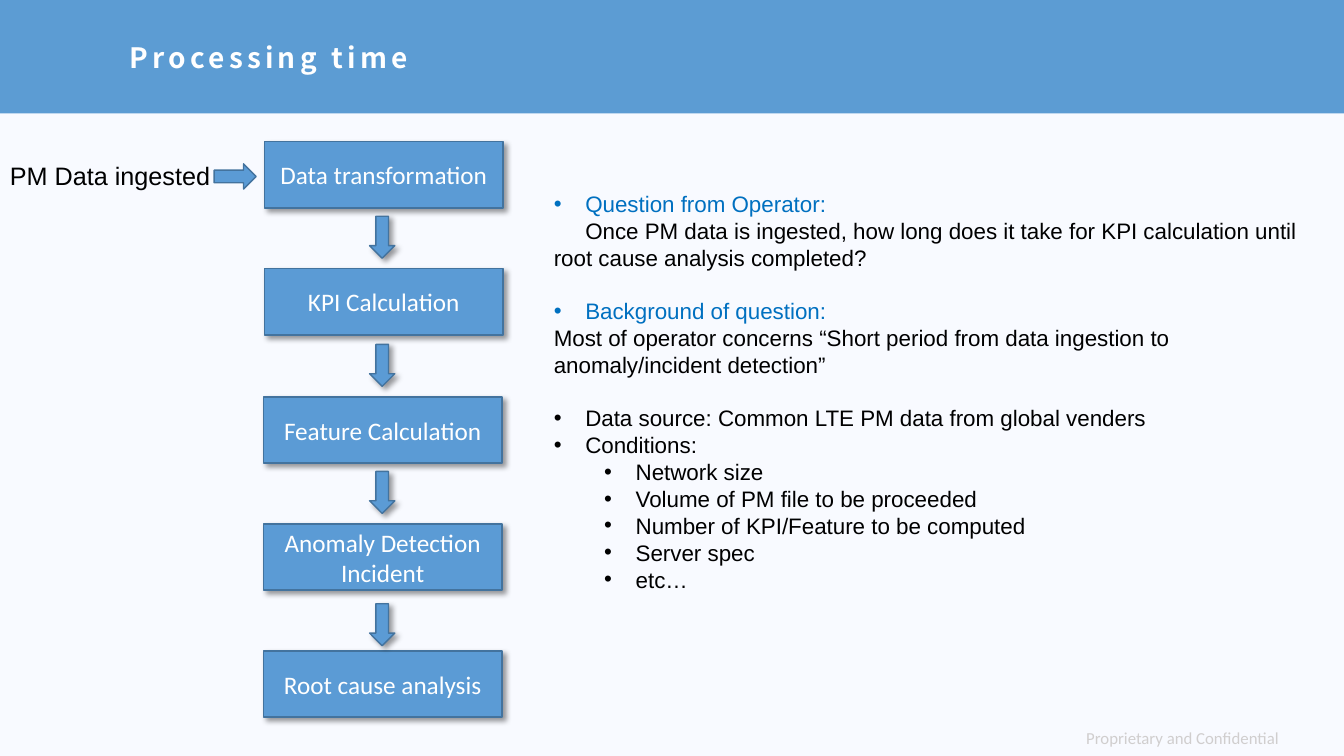
from dataclasses import dataclass

import pptx
import pptx.dml.color
import pptx.enum.shapes
import pptx.enum.text
import pptx.oxml.ns
import pptx.presentation
import pptx.shapes.autoshape
import pptx.slide
import pptx.text.text
import pptx.util
from lxml import etree

EMU_PER_PX = 9525
SHAPE = pptx.enum.shapes.MSO_SHAPE
ALIGN = pptx.enum.text.PP_ALIGN
ANCHOR = pptx.enum.text.MSO_ANCHOR
AUTO_SIZE = pptx.enum.text.MSO_AUTO_SIZE

BACKGROUND = "F8FAFF"
BANNER = "5C9CD3"
BLUE = "5B9BD5"
OUTLINE = "43739E"
HEADING = "0070C0"
WHITE = "FFFFFF"
BLACK = "000000"
FOOTER = "D0CECE"


@dataclass
class Step:
    text: str
    left: int
    top: int


@dataclass
class Arrow:
    left: int
    top: int
    rotation: int = 0
    shadow: bool = True


@dataclass
class Line:
    text: str
    color: str = BLACK
    bullet: bool = True
    margin: int = 30
    indent: int = -30
    gap: float = 0


STEPS = [
    Step("Data transformation", 252, 135),
    Step("KPI Calculation", 252, 256),
    Step("Feature Calculation", 251, 378),
    Step("Anomaly Detection\nIncident", 251, 499),
    Step("Root cause analysis", 251, 620),
]

ARROWS = [Arrow(352, top) for top in (206, 328, 449, 575)]
ARROWS.append(Arrow(212, 148, rotation=270, shadow=False))

CONDITIONS = [
    "Network size",
    "Volume of PM file to be proceeded",
    "Number of KPI/Feature to be computed",
    "Server spec",
    "etc…",
]

LINES = [
    Line("Question from Operator:", HEADING),
    Line("Once PM data is ingested, how long does it take for KPI calculation until "
         "root cause analysis completed?", bullet=False, margin=0, indent=30),
    Line("Background of question:", HEADING, gap=19),
    Line("Most of operator concerns “Short period from data ingestion to "
         "anomaly/incident detection”", bullet=False, margin=0, indent=0),
    Line("Data source: Common LTE PM data from global venders", gap=19),
    Line("Conditions:"),
    *[Line(condition, margin=78) for condition in CONDITIONS],
]


def px(length: int) -> int:
    return pptx.util.Emu(length * EMU_PER_PX)


def rgb(color: str) -> pptx.dml.color.RGBColor:
    return pptx.dml.color.RGBColor.from_string(color)


def format_runs(paragraph: pptx.text.text._Paragraph, font: str, size: int, color: str) -> None:
    for run in paragraph.runs:
        run.font.name = font
        run.font.size = pptx.util.Pt(size)
        run.font.color.rgb = rgb(color)


def add_shadow(shape: pptx.shapes.autoshape.Shape) -> None:
    effects = shape.element.spPr.find(pptx.oxml.ns.qn("a:effectLst"))
    shadow = etree.SubElement(
        effects, pptx.oxml.ns.qn("a:outerShdw"),
        blurRad=str(pptx.util.Pt(4)), dist=str(pptx.util.Pt(3)),
        dir="2700000", algn="tl", rotWithShape="0")
    color = etree.SubElement(shadow, pptx.oxml.ns.qn("a:srgbClr"), val=BLACK)
    etree.SubElement(color, pptx.oxml.ns.qn("a:alpha"), val="40000")


def add_block(slide: pptx.slide.Slide, kind: SHAPE, left: int, top: int, width: int,
              height: int, shadow: bool = True) -> pptx.shapes.autoshape.Shape:
    shape = slide.shapes.add_shape(kind, px(left), px(top), px(width), px(height))
    shape.fill.solid()
    shape.fill.fore_color.rgb = rgb(BLUE)
    shape.line.color.rgb = rgb(OUTLINE)
    shape.line.width = pptx.util.Pt(1)
    shape.shadow.inherit = False
    if shadow:
        add_shadow(shape)
    return shape


def add_step(slide: pptx.slide.Slide, step: Step) -> None:
    shape = add_block(slide, SHAPE.RECTANGLE, step.left, step.top, 227, 63)
    shape.text_frame.text = step.text
    shape.text_frame.vertical_anchor = ANCHOR.MIDDLE
    for paragraph in shape.text_frame.paragraphs:
        paragraph.alignment = ALIGN.CENTER
        format_runs(paragraph, "Calibri", 18, WHITE)


def add_arrow(slide: pptx.slide.Slide, arrow: Arrow) -> None:
    shape = add_block(slide, SHAPE.DOWN_ARROW, arrow.left, arrow.top, 24, 40, arrow.shadow)
    shape.rotation = arrow.rotation


def add_text(slide: pptx.slide.Slide, text: str, left: int, top: int, width: int, height: int,
             font: str, size: int, color: str) -> pptx.text.text.TextFrame:
    box = slide.shapes.add_textbox(px(left), px(top), px(width), px(height))
    frame = box.text_frame
    frame.word_wrap = True
    frame.auto_size = AUTO_SIZE.SHAPE_TO_FIT_TEXT
    frame.text = text
    for paragraph in frame.paragraphs:
        format_runs(paragraph, font, size, color)
    return frame


def add_notes_column(slide: pptx.slide.Slide) -> None:
    text = "\n".join(line.text for line in LINES)
    frame = add_text(slide, text, 518, 148, 750, 452, "Arial", 16, BLACK)
    frame.margin_top = px(33)
    for paragraph, line in zip(frame.paragraphs, LINES):
        properties = paragraph._p.get_or_add_pPr()
        properties.set("marL", str(px(line.margin)))
        properties.set("indent", str(px(line.indent)))
        if line.bullet:
            etree.SubElement(properties, pptx.oxml.ns.qn("a:buFont"), typeface="Arial")
            etree.SubElement(properties, pptx.oxml.ns.qn("a:buChar"), char="•")
        if line.gap:
            paragraph.space_before = pptx.util.Pt(line.gap)
        format_runs(paragraph, "Arial", 16, line.color)


def add_header(slide: pptx.slide.Slide) -> None:
    title = slide.shapes.title
    title.left, title.top, title.width, title.height = px(114), px(17), px(1133), px(79)
    frame = title.text_frame
    frame.text = "Processing time"
    frame.auto_size = AUTO_SIZE.NONE
    frame.vertical_anchor = ANCHOR.MIDDLE
    paragraph = frame.paragraphs[0]
    paragraph.alignment = ALIGN.LEFT
    paragraph.line_spacing = 0.9
    format_runs(paragraph, "Noto Sans CJK JP", 20, WHITE)
    for run in paragraph.runs:
        run.font.bold = True
        run.font._element.set("spc", "300")

    banner = slide.shapes.add_shape(SHAPE.RECTANGLE, 0, 0, px(1280), px(108))
    banner.fill.solid()
    banner.fill.fore_color.rgb = rgb(BANNER)
    banner.line.fill.background()
    banner.shadow.inherit = False
    title.element.addprevious(banner.element)


def main() -> None:
    presentation = pptx.Presentation()
    presentation.slide_width, presentation.slide_height = px(1280), px(720)
    slide = presentation.slides.add_slide(presentation.slide_layouts.get_by_name("Title Only"))
    slide.background.fill.solid()
    slide.background.fill.fore_color.rgb = rgb(BACKGROUND)
    add_header(slide)
    add_text(slide, "Proprietary and Confidential", 1025, 688, 255, 29, "Calibri", 12, FOOTER)
    add_text(slide, "PM Data ingested", 0, 148, 236, 38, "Arial", 18, BLACK)
    for step in STEPS:
        add_step(slide, step)
    for arrow in ARROWS:
        add_arrow(slide, arrow)
    add_notes_column(slide)
    presentation.save("out.pptx")


if __name__ == "__main__":
    main()
